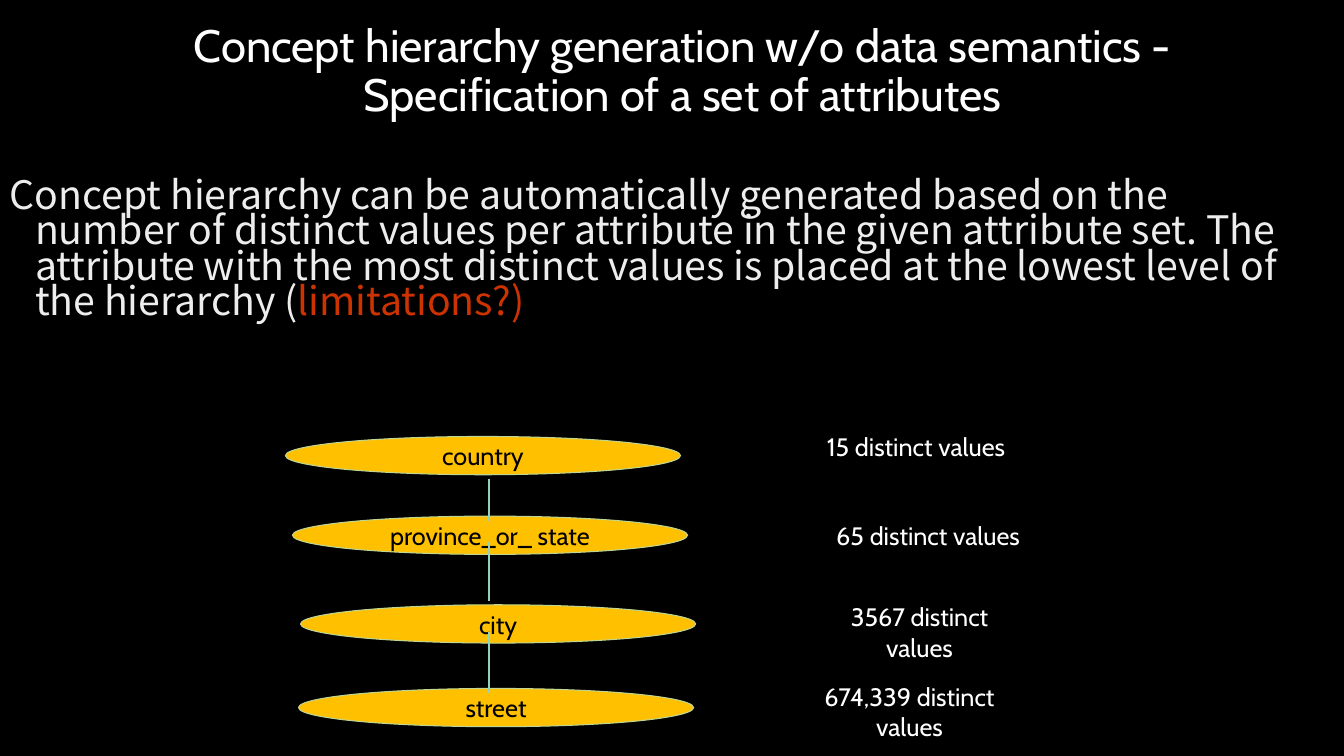
"""Build the slide on concept hierarchy generation."""
from typing import NamedTuple

from lxml import etree
from pptx import Presentation
from pptx.dml.color import RGBColor
from pptx.enum.shapes import MSO_CONNECTOR, MSO_SHAPE
from pptx.enum.text import MSO_ANCHOR, MSO_AUTO_SIZE, PP_ALIGN
from pptx.oxml.ns import qn
from pptx.util import Inches, Pt

BLACK = RGBColor(0, 0, 0)
WHITE = RGBColor(0xFF, 0xFF, 0xFF)
PALE = RGBColor(0xED, 0xED, 0xED)
RED = RGBColor(0xCC, 0x33, 0x00)
GOLD = RGBColor(0xFF, 0xC0, 0x00)
GREEN = RGBColor(0xC0, 0xD5, 0x91)
TEAL = RGBColor(0x8E, 0xD5, 0xC1)

OVAL = MSO_SHAPE.OVAL
LINE = MSO_CONNECTOR.STRAIGHT
CENTER, LEFT = PP_ALIGN.CENTER, PP_ALIGN.LEFT
MIDDLE, TOP = MSO_ANCHOR.MIDDLE, MSO_ANCHOR.TOP
FIXED, GROW = MSO_AUTO_SIZE.NONE, MSO_AUTO_SIZE.SHAPE_TO_FIT_TEXT

HEAD = "Cabin"
BODY = "Noto Sans CJK JP"
STEM = 4.85


class Level(NamedTuple):
    """A level of the hierarchy."""
    name: str
    left: float
    top: float


class Count(NamedTuple):
    """A label with the number of distinct values."""
    number: str
    left: float
    top: float
    width: float
    wrap: bool = True


class Link(NamedTuple):
    """A vertical line between two levels."""
    start: float
    end: float


LEVELS = [
    Level("country", 2.83, 4.33),
    Level("province_or_ state", 2.9, 5.12),
    Level("city", 2.98, 6),
    Level("street", 2.96, 6.83),
]
LINKS = [Link(4.75, 5.17), Link(5.38, 5.96), Link(6.27, 6.88)]
COUNTS = [
    Count("15", 8.1, 4.23, 1.97, False),
    Count("65", 7.94, 5.11, 2.53),
    Count("3567", 8.02, 5.92, 2.2),
    Count("674,339", 7.76, 6.71, 2.52),
]


def write(shape, *parts, size=18, font=HEAD, color=WHITE, align=CENTER,
          anchor=TOP, wrap=True, fit=FIXED, space=1.0) -> None:
    """Fill a shape with text; a part may be a (text, color) pair."""
    frame = shape.text_frame
    frame.auto_size, frame.word_wrap = fit, wrap
    frame.vertical_anchor = anchor
    para = frame.paragraphs[0]
    para.alignment, para.line_spacing = align, space
    for part in parts:
        text, tint = (part, color) if isinstance(part, str) else part
        run = para.add_run()
        run.text = text
        run.font.size, run.font.name = Pt(size), font
        run.font.color.rgb = tint


def place(shape, left: float, top: float, width: float, height: float) -> None:
    """Move and size a shape in inches."""
    shape.left, shape.top = Inches(left), Inches(top)
    shape.width, shape.height = Inches(width), Inches(height)


def add_box(slide, left: float, top: float, width: float, height: float):
    """Add a text box in inches."""
    return slide.shapes.add_textbox(
        Inches(left), Inches(top), Inches(width), Inches(height))


def add_level(slide, level: Level) -> None:
    """Draw a level as an ellipse."""
    oval = slide.shapes.add_shape(
        OVAL, Inches(level.left), Inches(level.top), Inches(3.92), Inches(0.38))
    oval.shadow.inherit = False
    oval.fill.solid()
    oval.fill.fore_color.rgb = GOLD
    oval.line.color.rgb = GREEN
    oval.line.width = Pt(0.75)
    write(oval, level.name, color=BLACK, anchor=MIDDLE, wrap=False)


def add_link(slide, link: Link) -> None:
    """Draw a line down the stem."""
    line = slide.shapes.add_connector(
        LINE, Inches(STEM), Inches(link.start), Inches(STEM), Inches(link.end))
    line.line.color.rgb = TEAL
    line.line.width = Pt(0.75)
    etree.SubElement(line.element.spPr, qn("a:effectLst"))


def add_count(slide, count: Count) -> None:
    """Draw the label of a level."""
    box = add_box(slide, count.left, count.top, count.width, 0.4)
    write(box, f"{count.number} distinct values", wrap=count.wrap, fit=GROW)


def add_title(slide) -> None:
    """Format the title."""
    title = slide.shapes.title
    place(title, 0.71, 0.5, 12.12, 0.92)
    title.text_frame.margin_bottom = Inches(0.53)
    write(title, "Concept hierarchy generation w/o data semantics - "
          "Specification of a set of attributes",
          size=32.4, anchor=MIDDLE, space=0.9)


def add_body(slide) -> None:
    """Add the main paragraph with its hanging indent."""
    body = add_box(slide, 0, 1.75, 13.12, 2.08)
    write(body, "Concept hierarchy can be automatically generated based on the "
          "number of distinct values per attribute in the given attribute set. "
          "The attribute with the most distinct values is placed at the lowest "
          "level of the hierarchy (", ("limitations?)", RED),
          size=28, font=BODY, color=PALE, align=LEFT, space=0.75)
    props = body.text_frame.paragraphs[0]._p.get_or_add_pPr()
    props.set("marL", str(Inches(0.25)))
    props.set("indent", str(Inches(-0.25)))


def main() -> None:
    """Build and save the deck."""
    deck = Presentation()
    deck.slide_width, deck.slide_height = Inches(13.33), Inches(7.5)
    slide = deck.slides.add_slide(deck.slide_layouts[5])
    slide.background.fill.solid()
    slide.background.fill.fore_color.rgb = BLACK
    add_title(slide)
    add_body(slide)
    for level in LEVELS:
        add_level(slide, level)
    for link in LINKS:
        add_link(slide, link)
    for count in COUNTS:
        add_count(slide, count)
    deck.save("out.pptx")


main()
